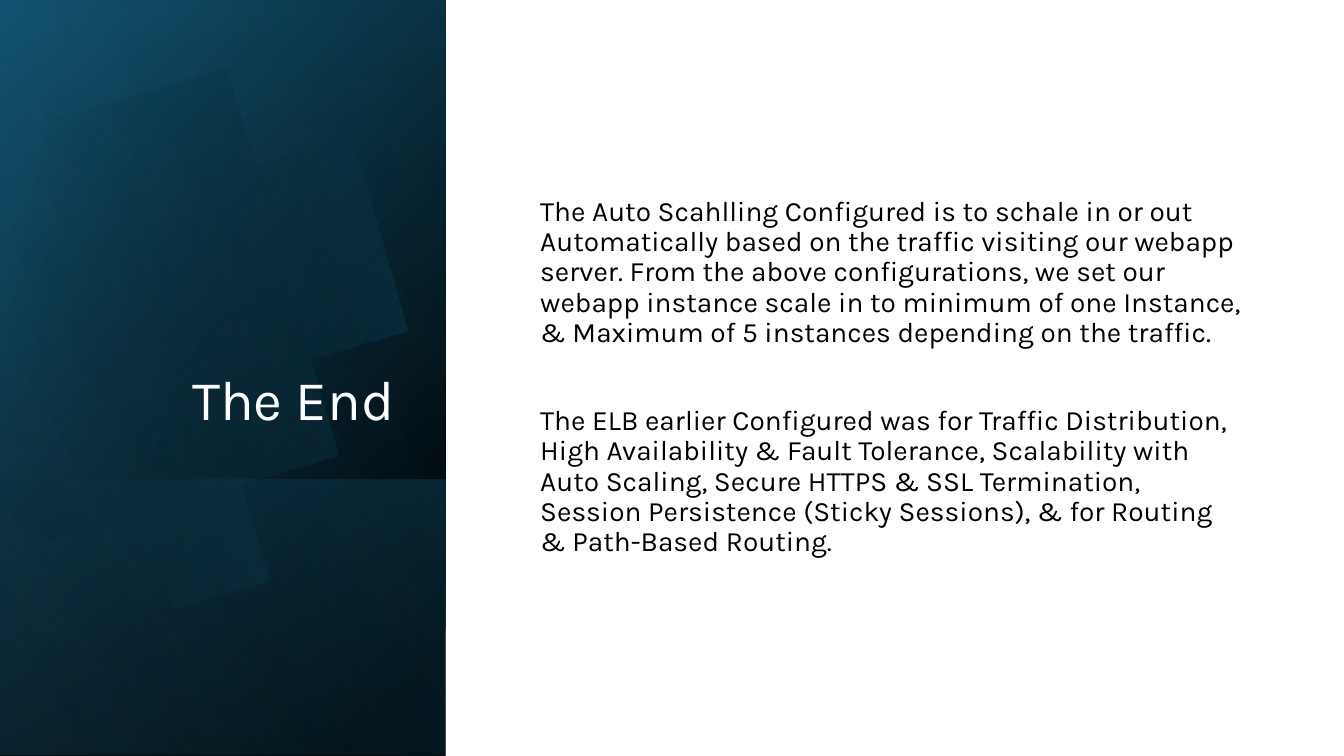
from math import cos, radians, sin

from lxml import etree
from pptx import Presentation
from pptx.dml.color import RGBColor
from pptx.enum.shapes import MSO_SHAPE
from pptx.enum.text import MSO_ANCHOR, MSO_AUTO_SIZE, PP_ALIGN
from pptx.oxml import parse_xml
from pptx.oxml.ns import nsdecls, qn
from pptx.util import Inches, Pt

SCALING = (
    "The Auto Scahlling Configured is to schale in or out Automatically based on "
    "the traffic visiting our webapp server. From the above configurations, we set "
    "our webapp instance scale in to minimum of one Instance, & Maximum of 5 "
    "instances depending on the traffic."
)
BALANCING = (
    "The ELB earlier Configured was for Traffic Distribution, High Availability & "
    "Fault Tolerance, Scalability with Auto Scaling, Secure HTTPS & SSL "
    "Termination, Session Persistence (Sticky Sessions), & for Routing & "
    "Path-Based Routing."
)

# Outline of the disc on the slide: start, cubic curves, then straight edges.
DISC_START = (1.49, 1.1)
DISC_CURVES = [
    [(2.46, 1.12), (3.35, 1.77), (3.63, 2.75)],
    [(3.98, 3.97), (3.28, 5.23), (2.07, 5.58)],
    [(1.31, 5.8), (0.53, 5.61), (-0.03, 5.14)],
]
DISC_EDGE = [(-0.15, 5.03), (-0.15, 1.75), (0, 1.61)]
DISC_CLOSING = [
    [(0.23, 1.42), (0.5, 1.28), (0.8, 1.19)],
    [(1.03, 1.13), (1.26, 1.1), (1.49, 1.1)],
]
DISC_CENTRE = (1.58, 3.34)
DISC_TURN = 343.9


def color(hex_text):
    return RGBColor.from_string(hex_text)


def curve_points(start, curves, steps=16):
    """Sample a chain of cubic Bezier curves, leaving out the start point."""
    points = []
    for first, second, end in curves:
        for step in range(1, steps + 1):
            t = step / steps
            weights = ((1 - t) ** 3, 3 * t * (1 - t) ** 2, 3 * t * t * (1 - t), t ** 3)
            corners = (start, first, second, end)
            points.append(tuple(
                sum(w * corner[axis] for w, corner in zip(weights, corners))
                for axis in (0, 1)
            ))
        start = end
    return points


def turn(point, centre, degrees):
    angle = radians(degrees)
    x, y = point[0] - centre[0], point[1] - centre[1]
    return (centre[0] + x * cos(angle) - y * sin(angle),
            centre[1] + x * sin(angle) + y * cos(angle))


class EndSlide:
    def __init__(self, presentation, font="Karla"):
        self.font = font
        self.slide = presentation.slides.add_slide(presentation.slide_layouts[5])
        self.shapes = self.slide.shapes

    def set_text(self, frame, paragraphs, size, ink, anchor, align=PP_ALIGN.LEFT, gap=0):
        frame.word_wrap = True
        frame.auto_size = MSO_AUTO_SIZE.NONE
        frame.vertical_anchor = anchor
        for index, text in enumerate(paragraphs):
            paragraph = frame.paragraphs[0] if index == 0 else frame.add_paragraph()
            paragraph.alignment = align
            paragraph.line_spacing = 0.9
            paragraph.space_before = Pt(gap if index else 0)
            run = paragraph.add_run()
            run.text = text
            run.font.name = self.font
            run.font.size = Pt(size)
            run.font.color.rgb = color(ink)

    def title(self, text, left, top, width, height, **style):
        title = self.shapes.title
        title.left, title.top = Inches(left), Inches(top)
        title.width, title.height = Inches(width), Inches(height)
        self.set_text(title.text_frame, [text], **style)
        title._element.getparent().append(title._element)

    def body(self, paragraphs, left, top, width, height, **style):
        box = self.shapes.add_textbox(
            Inches(left), Inches(top), Inches(width), Inches(height))
        self.set_text(box.text_frame, paragraphs, **style)

    def rectangle(self, left, top, width, height):
        panel = self.shapes.add_shape(
            MSO_SHAPE.RECTANGLE,
            Inches(left), Inches(top), Inches(width), Inches(height))
        panel.shadow.inherit = False
        panel.line.fill.background()
        return panel

    def backdrop(self, width, height, fill):
        panel = self.rectangle(0, 0, width, height)
        panel.fill.solid()
        panel.fill.fore_color.rgb = color(fill)

    def shade(self, shape, stops, angle):
        """Fill with a gradient of (position, colour, opacity) stops, in percent."""
        shape.fill.background()
        gradient = parse_xml(
            f'<a:gradFill {nsdecls("a")} rotWithShape="1"><a:gsLst/>'
            f'<a:lin ang="{angle * 60000}" scaled="0"/></a:gradFill>')
        for position, hex_text, opacity in stops:
            stop = etree.SubElement(gradient[0], qn("a:gs"), pos=str(position * 1000))
            tint = etree.SubElement(stop, qn("a:srgbClr"), val=hex_text)
            if opacity < 100:
                etree.SubElement(tint, qn("a:alpha"), val=str(opacity * 1000))
        properties = shape._element.spPr
        properties.replace(properties.find(qn("a:noFill")), gradient)

    def turned_panel(self, left, top, width, height, stops, angle):
        panel = self.rectangle(left, top, width, height)
        panel.rotation = 90
        panel._element.spPr.find(qn("a:xfrm")).set("flipH", "1")
        self.shade(panel, stops, angle)

    def disc(self, stops, angle):
        outline = [DISC_START, *curve_points(DISC_START, DISC_CURVES), *DISC_EDGE,
                   *curve_points(DISC_EDGE[-1], DISC_CLOSING)]
        upright = [turn(point, DISC_CENTRE, -DISC_TURN) for point in outline]
        builder = self.shapes.build_freeform(*upright[0], scale=Inches(1))
        builder.add_line_segments(upright[1:], close=True)
        disc = builder.convert_to_shape()
        disc.shadow.inherit = False
        disc.line.fill.background()
        disc.rotation = DISC_TURN
        self.shade(disc, stops, angle)


def main():
    presentation = Presentation()
    presentation.slide_width = Inches(13.33)
    presentation.slide_height = Inches(7.5)
    end = EndSlide(presentation)

    end.backdrop(13.33, 7.5, "FFFFFF")
    end.turned_panel(-1.54, 1.54, 7.5, 4.42,
                     [(8, "000000", 100), (100, "104862", 100)], 50)
    end.turned_panel(-1.54, 1.55, 7.5, 4.42,
                     [(0, "000000", 0), (99, "156082", 46)], 30)
    end.turned_panel(0.84, 3.92, 2.74, 4.42,
                     [(2, "156082", 29), (100, "000000", 30)], 130)
    end.disc([(29, "000000", 0), (100, "156082", 43)], 30)
    end.turned_panel(-1.54, 1.53, 7.5, 4.42,
                     [(0, "000000", 0), (99, "46B1E1", 11)], 120)

    end.title("The End", 0.51, 0.64, 3.5, 3.7, size=40, ink="FFFFFF",
              anchor=MSO_ANCHOR.BOTTOM, align=PP_ALIGN.RIGHT)
    end.body([SCALING, BALANCING], 5.26, 0.71, 7.17, 6.07, size=20, ink="000000",
             anchor=MSO_ANCHOR.MIDDLE, gap=41.5)
    presentation.save("out.pptx")


if __name__ == "__main__":
    main()
